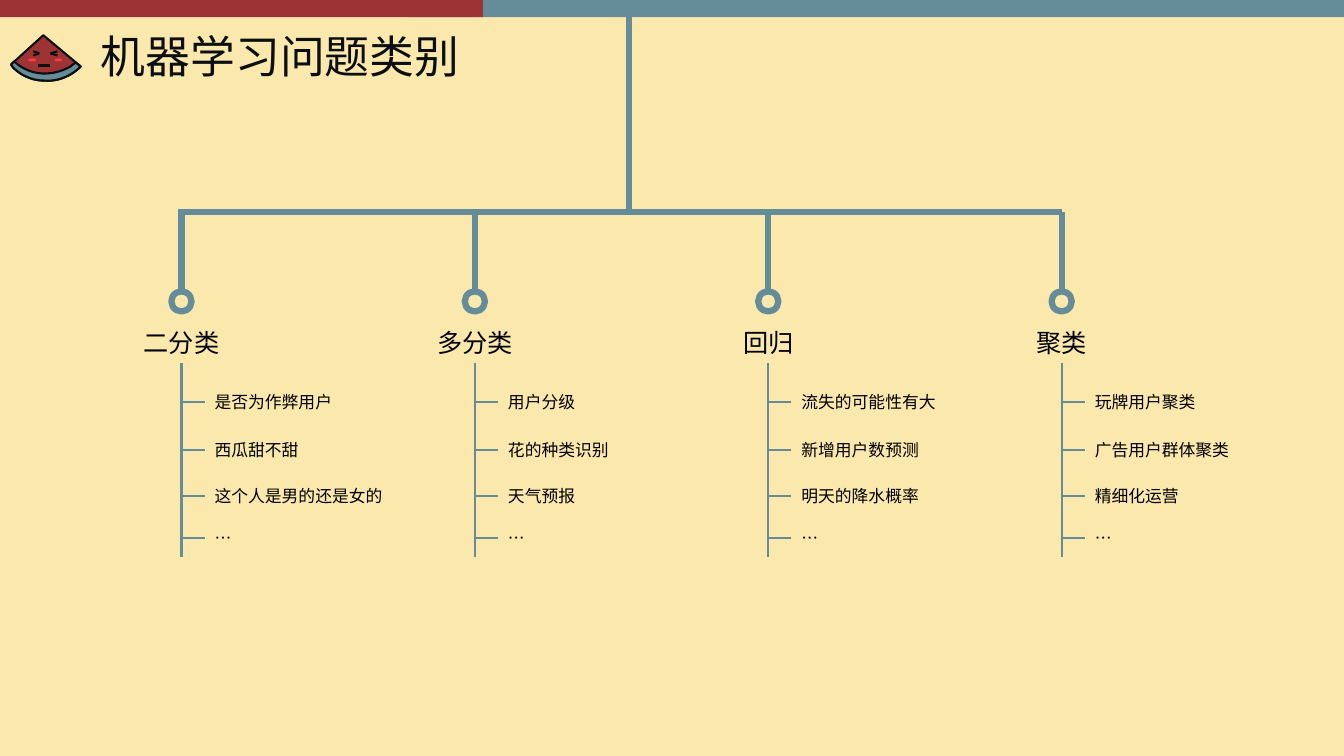
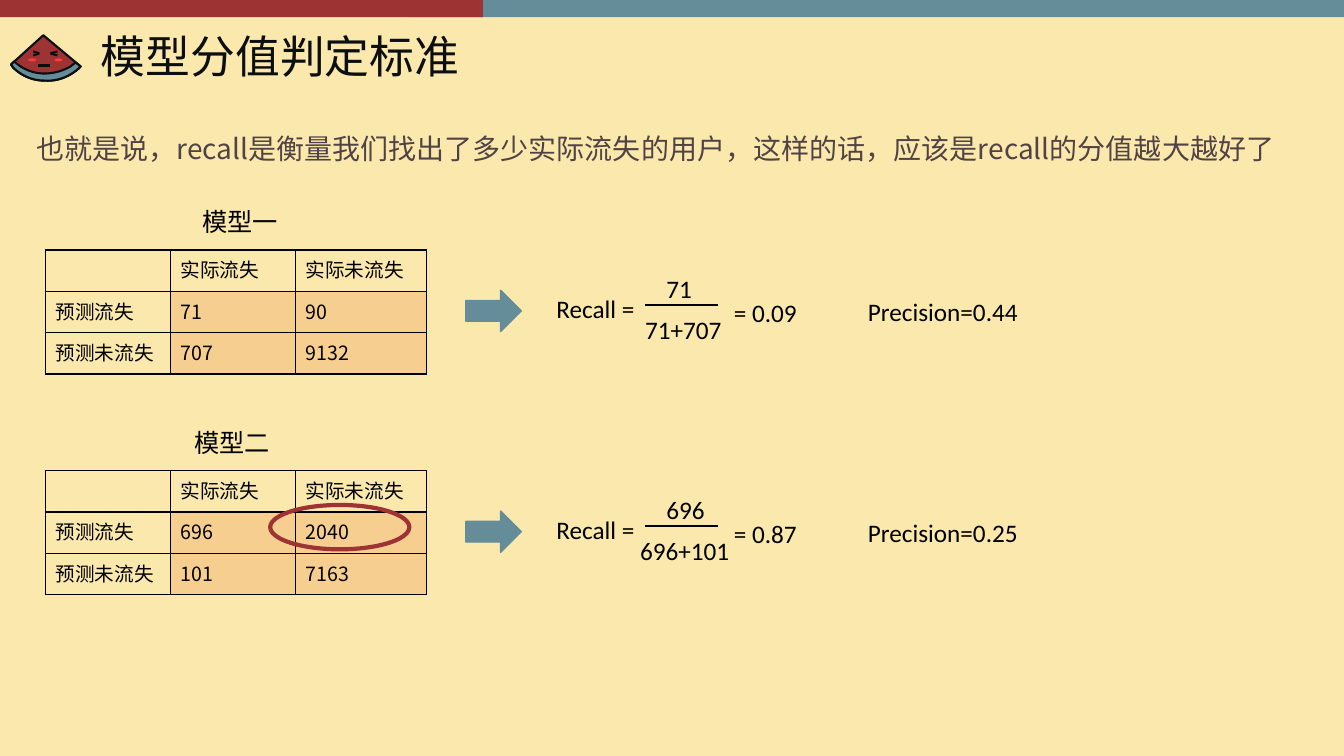
from dataclasses import dataclass

from lxml import etree
from pptx import Presentation
from pptx.dml.color import RGBColor
from pptx.enum.shapes import MSO_CONNECTOR, MSO_SHAPE as Preset
from pptx.enum.text import MSO_ANCHOR as Anchor, MSO_AUTO_SIZE as AutoSize, PP_ALIGN as Align
from pptx.oxml.ns import qn
from pptx.util import Inches, Pt


@dataclass(frozen=True)
class Theme:
    # Colours
    paper: str = "FBE8AD"
    red: str = "9D3332"
    teal: str = "648C99"
    ink: str = "0C0F11"
    blush: str = "FF3B3B"
    brown: str = "514345"
    black: str = "000000"
    peach: str = "F6CE90"
    # Fonts and type sizes
    chinese: str = "Noto Sans CJK SC"
    latin: str = "Calibri"
    title: int = 32
    lead: int = 20
    label: int = 18
    cell: int = 14
    item: int = 12
    # Line widths
    thick: float = 4.5
    ring: float = 3
    thin: float = 1.5
    hair: float = 1


THEME = Theme()


def write(frame, text, size=THEME.label, color=THEME.black, font=THEME.chinese,
          align=Align.LEFT, anchor=Anchor.TOP, spacing=None):
    """Put one formatted paragraph into a text frame."""
    frame.word_wrap = True
    frame.vertical_anchor = anchor
    paragraph = frame.paragraphs[0]
    paragraph.alignment = align
    if spacing:
        paragraph.line_spacing = spacing
    run = paragraph.add_run()
    run.text = text
    run.font.size = Pt(size)
    run.font.name = font
    run.font.color.rgb = RGBColor.from_string(color)
    etree.SubElement(run.font._element, qn("a:ea")).set("typeface", font)


def curve(start, *controls, steps=12):
    """Points along a cubic Bézier curve, without its start."""
    points = (start, *controls)
    result = []
    for step in range(1, steps + 1):
        t = step / steps
        weights = ((1 - t) ** 3, 3 * t * (1 - t) ** 2, 3 * t * t * (1 - t), t ** 3)
        result.append(tuple(sum(w * p[axis] for w, p in zip(weights, points))
                            for axis in (0, 1)))
    return result


class Deck:
    def __init__(self, theme):
        self.theme = theme
        self.prs = Presentation()
        self.prs.slide_width, self.prs.slide_height = Inches(13.33), Inches(7.5)
        background = self.prs.slide_master.background.fill
        background.solid()
        background.fore_color.rgb = RGBColor.from_string(theme.paper)
        self.slide = None

    def new_slide(self, title):
        theme = self.theme
        self.slide = self.prs.slides.add_slide(self.prs.slide_layouts[5])
        # Top bands
        self.shape(Preset.RECTANGLE, 4.04, 0, 9.3, 0.17, fill=theme.teal)
        self.shape(Preset.RECTANGLE, 0, 0, 4.79, 0.17, fill=theme.red)
        self.melon()
        # Title
        heading = self.slide.shapes.title
        heading.left, heading.top = Inches(0.9), Inches(0.17)
        heading.width, heading.height = Inches(12.43), Inches(0.83)
        heading.text_frame.auto_size = AutoSize.NONE
        write(heading.text_frame, title, size=theme.title, color=theme.ink,
              anchor=Anchor.MIDDLE, spacing=0.9)

    def melon(self):
        theme = self.theme
        # Slice and rind share the lower edge
        right, low, left = (0.78, 0.68), (0.44, 0.8), (0.13, 0.67)
        edge = [(0.8, 0.66), right,
                *curve(right, (0.69, 0.76), (0.57, 0.81), low),
                *curve(low, (0.32, 0.8), (0.21, 0.75), left), (0.11, 0.64)]
        rind_left, rind_low = (0.19, 0.65), (0.44, 0.73)
        rind = [(0.14, 0.61), rind_left,
                *curve(rind_left, (0.26, 0.7), (0.35, 0.73), rind_low),
                *curve(rind_low, (0.54, 0.73), (0.63, 0.7), (0.7, 0.66)), (0.75, 0.62)]
        self.outline([(0.43, 0.35)] + edge, theme.red)
        self.outline(rind + edge, theme.teal)
        # Cheeks, mouth and eyes
        for x in (0.28, 0.54):
            self.shape(Preset.OVAL, x, 0.58, 0.08, 0.03, fill=theme.blush)
        self.line(0.38, 0.65, 0.5, 0.65, color=theme.ink)
        for outer, inner in ((0.33, 0.39), (0.57, 0.5)):
            for y in (0.51, 0.55):
                self.line(outer, y, inner, 0.53, color=theme.ink)

    def paint(self, shape, fill, line, width):
        shape.shadow.inherit = False
        if fill:
            shape.fill.solid()
            shape.fill.fore_color.rgb = RGBColor.from_string(fill)
        else:
            shape.fill.background()
        if line:
            shape.line.color.rgb = RGBColor.from_string(line)
            shape.line.width = Pt(width)
        else:
            shape.line.fill.background()

    def shape(self, preset, x, y, w, h, fill=None, line=None, width=THEME.hair):
        shape = self.slide.shapes.add_shape(preset, Inches(x), Inches(y), Inches(w), Inches(h))
        self.paint(shape, fill, line, width)

    def outline(self, points, fill):
        corners = [(Inches(x), Inches(y)) for x, y in points]
        builder = self.slide.shapes.build_freeform(*corners[0])
        builder.add_line_segments(corners[1:], close=True)
        self.paint(builder.convert_to_shape(), fill, self.theme.ink, self.theme.thin)

    def line(self, x1, y1, x2, y2, color=THEME.teal, width=THEME.thin):
        line = self.slide.shapes.add_connector(
            MSO_CONNECTOR.STRAIGHT, Inches(x1), Inches(y1), Inches(x2), Inches(y2))
        line.line.color.rgb = RGBColor.from_string(color)
        line.line.width = Pt(width)
        etree.SubElement(line._element.spPr, qn("a:effectLst"))

    def text(self, text, x, y, w, h=0.4, **style):
        box = self.slide.shapes.add_textbox(Inches(x), Inches(y), Inches(w), Inches(h))
        write(box.text_frame, text, **style)

    def table(self, rows, x, y, widths, row_height):
        table = self.slide.shapes.add_table(
            len(rows), len(widths), Inches(x), Inches(y),
            Inches(sum(widths)), Inches(row_height * len(rows))).table
        table.first_row = table.horz_banding = False
        for column, width in zip(table.columns, widths):
            column.width = Inches(width)
        for r, row in enumerate(rows):
            table.rows[r].height = Inches(row_height)
            for c, value in enumerate(row):
                cell = table.cell(r, c)
                write(cell.text_frame, value, size=self.theme.cell)
                self.border(cell)
                if r and c:
                    cell.fill.solid()
                    cell.fill.fore_color.rgb = RGBColor.from_string(self.theme.peach)
                else:
                    cell.fill.background()

    def border(self, cell):
        properties = cell._tc.get_or_add_tcPr()
        for side in ("a:lnL", "a:lnR", "a:lnT", "a:lnB"):
            edge = etree.SubElement(properties, qn(side), w=str(Pt(self.theme.hair)))
            solid = etree.SubElement(edge, qn("a:solidFill"))
            etree.SubElement(solid, qn("a:srgbClr"), val=self.theme.black)


def problem_types(deck):
    theme = deck.theme
    deck.new_slide("机器学习问题类别")
    categories = {
        "二分类": ("是否为作弊用户", "西瓜甜不甜", "这个人是男的还是女的", "…"),
        "多分类": ("用户分级", "花的种类识别", "天气预报", "…"),
        "回归": ("流失的可能性有大", "新增用户数预测", "明天的降水概率", "…"),
        "聚类": ("玩牌用户聚类", "广告用户群体聚类", "精细化运营", "…"),
    }
    item_rows = (3.99, 4.46, 4.92, 5.34)
    first, gap, bar_y, ring = 1.8, 2.91, 2.1, 0.2

    # Trunk and crossbar
    deck.line(6.24, 0.17, 6.24, bar_y, width=theme.thick)
    deck.line(first - 0.03, bar_y, first + 3 * gap, bar_y, width=theme.thick)

    # Branches with their examples
    for index, (category, examples) in enumerate(categories.items()):
        x = first + index * gap
        deck.line(x, bar_y, x, 2.99, width=theme.thick)
        deck.shape(Preset.OVAL, x - ring / 2, 2.89, ring, ring,
                   fill=theme.paper, line=theme.teal, width=theme.thick)
        deck.text(category, x - 0.63, 3.2, 1.26, align=Align.CENTER)
        deck.line(x, 3.6, x, 5.53)
        for y, example in zip(item_rows, examples):
            deck.line(x, y, x + 0.23, y)
            deck.text(example, x + 0.23, y - 0.15, 2.06, 0.3, size=theme.item)


def model_scores(deck):
    theme = deck.theme
    deck.new_slide("模型分值判定标准")
    deck.text("也就是说，recall是衡量我们找出了多少实际流失的用户，这样的话，应该是recall的分值越大越好了",
              0.26, 1.29, 12.81, 0.65, size=theme.lead, color=theme.brown, spacing=0.9)

    # Name, its left edge, confusion counts, denominator's left edge, scores
    models = (
        ("模型一", 1.91, ("71", "90"), ("707", "9132"), 6.3, "0.09", "0.44"),
        ("模型二", 1.83, ("696", "2040"), ("101", "7163"), 6.25, "0.87", "0.25"),
    )
    for index, (name, name_x, churned, kept, sum_x, recall, precision) in enumerate(models):
        top = 2.48 + index * 2.19
        deck.text(name, name_x, top - 0.48, 1.01)
        deck.table((("", "实际流失", "实际未流失"),
                    ("预测流失", *churned),
                    ("预测未流失", *kept)), 0.45, top, (1.24, 1.24, 1.3), 0.41)
        deck.shape(Preset.RIGHT_ARROW, 4.62, top + 0.4, 0.55, 0.41,
                   fill=theme.teal, line=theme.teal)
        # Recall as a fraction, then precision
        for part, x, dy, width in (
                ("Recall =", 5.42, 0.38, 1.05),
                (churned[0], 6.51, 0.18, 0.65),
                (f"{churned[0]}+{kept[0]}", sum_x, 0.59, 1.13),
                (f"= {recall}", 7.18, 0.42, 0.9),
                (f"Precision={precision}", 8.51, 0.41, 2.18)):
            deck.text(part, x, top + dy, width, font=theme.latin)
        deck.line(6.4, top + 0.55, 7.12, top + 0.55, color=theme.black)

    # Ring around the false alarms of the second model
    deck.shape(Preset.OVAL, 2.68, 5.01, 1.38, 0.44, line=theme.red, width=theme.ring)


def main():
    deck = Deck(THEME)
    problem_types(deck)
    model_scores(deck)
    deck.prs.save("out.pptx")


if __name__ == "__main__":
    main()
